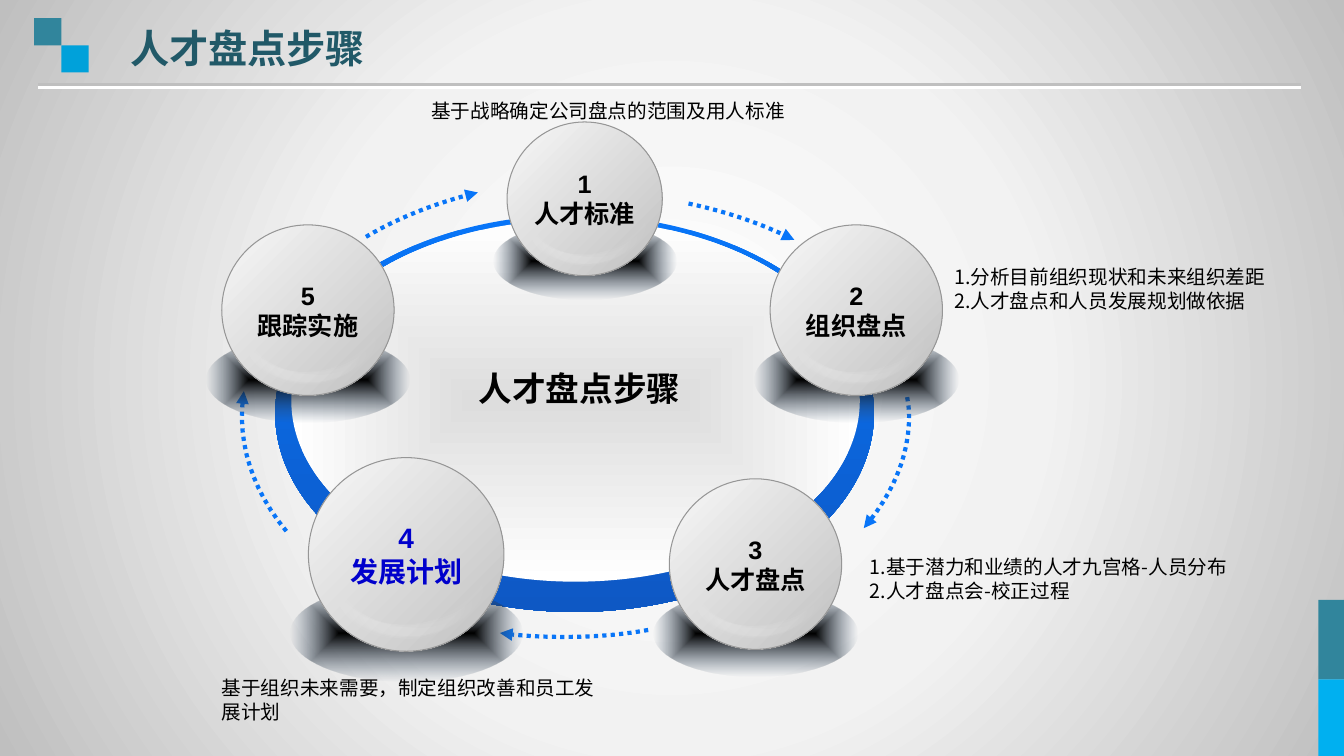
import pptx
import pptx.dml.color
import pptx.enum.dml
import pptx.enum.shapes
import pptx.enum.text
import pptx.oxml
import pptx.oxml.ns
import pptx.util
from lxml import etree

Pt = pptx.util.Pt
rgb = pptx.dml.color.RGBColor.from_string
qn = pptx.oxml.ns.qn
SHAPE = pptx.enum.shapes.MSO_SHAPE
ALIGN = pptx.enum.text.PP_ALIGN
ANCHOR = pptx.enum.text.MSO_ANCHOR
CJK = "Noto Sans CJK SC"
ARROW_BLUE = "0875F8"


def add_filled(shapes, kind, bounds, stops, angle=None, path="shape"):
    """Add a borderless shape; stops are (percent, hex, opacity percent).

    One stop is a solid fill; without an angle, more run out from the centre.
    """
    shape = shapes.add_shape(kind, *[Pt(value) for value in bounds])
    shape.shadow.inherit = False
    shape.line.fill.background()
    if len(stops) == 1:
        shape.fill.solid()
        shape.fill.fore_color.rgb = rgb(stops[0][1])
        colour = shape.element.spPr.find(qn("a:solidFill"))[0]
        etree.SubElement(colour, qn("a:alpha"), val=str(stops[0][2] * 1000))
        return shape
    shape.fill.gradient()
    gradient = shape.element.spPr.find(qn("a:gradFill"))
    for child in list(gradient):
        gradient.remove(child)
    stop_list = etree.SubElement(gradient, qn("a:gsLst"))
    for position, hex_colour, opacity in stops:
        stop = etree.SubElement(stop_list, qn("a:gs"), pos=str(position * 1000))
        colour = etree.SubElement(stop, qn("a:srgbClr"), val=hex_colour)
        etree.SubElement(colour, qn("a:alpha"), val=str(opacity * 1000))
    if angle is None:
        centre = etree.SubElement(gradient, qn("a:path"), path=path)
        sides = {side: "50000" for side in "ltrb"}
        etree.SubElement(centre, qn("a:fillToRect"), **sides)
    else:
        etree.SubElement(gradient, qn("a:lin"), ang=str(angle * 60000), scaled="0")
    return shape


def write(shape, lines, size, colour="000000", name=CJK, bold=False,
          align=ALIGN.LEFT, anchor=ANCHOR.TOP, wrap=True, spacing=None):
    frame = shape.text_frame
    frame.word_wrap = wrap
    frame.vertical_anchor = anchor
    frame.text = "\n".join(lines)
    for para in frame.paragraphs:
        para.alignment = align
        para.line_spacing = spacing
        for span in para.runs:
            for key, value in {"size": Pt(size), "bold": bold, "name": name}.items():
                setattr(span.font, key, value)
            span.font.color.rgb = rgb(colour)
            etree.SubElement(span.font._element, qn("a:ea"), typeface=CJK)


deck = pptx.Presentation()
deck.slide_width, deck.slide_height = Pt(960), Pt(540)
page = deck.slides.add_slide(deck.slide_layouts[5])

# Backdrop and header
add_filled(page.shapes, SHAPE.RECTANGLE, (0, 0, 960, 540),
           [(0, "FFFFFF", 100), (48, "F2F2F2", 100), (100, "BFBFBF", 100)],
           path="circle")
for bounds, colour in [
    ((941.8, 428.4, 18.2, 56.9), "31859C"),
    ((941.8, 485.3, 18.2, 54.7), "00B0F0"),
    ((24.5, 13, 19.4, 19.4), "31859C"),
    ((43.9, 32.4, 19.4, 19.4), "00A1DA"),
]:
    add_filled(page.shapes, SHAPE.RECTANGLE, bounds, [(0, colour, 100)])

rule = page.shapes.add_connector(pptx.enum.shapes.MSO_CONNECTOR.STRAIGHT,
                                 Pt(27.4), Pt(60.5), Pt(929), Pt(60.5))
rule.line.color.rgb = rgb("BFBFBF")
rule.line.width = Pt(2.25)
effects = etree.SubElement(rule.element.spPr, qn("a:effectLst"))
shadow = etree.SubElement(effects, qn("a:outerShdw"), dist=str(Pt(2)),
                          dir="5400000", algn="t", rotWithShape="0")
etree.SubElement(shadow, qn("a:srgbClr"), val="FFFFFF")

title = page.shapes.title
title.element.getparent().append(title.element)
for key, value in {"left": 85.7, "top": 13.7, "width": 265.7, "height": 41.2}.items():
    setattr(title, key, Pt(value))
write(title, ["人才盘点步骤"], 28, "215968", bold=True)

# Dotted arrows: a start point, then cubic curves of three points each
arrows = [
    [(261.4, 169.2), (284.4, 155.5), (311.8, 144.7), (341.3, 137.5)],
    [(204.5, 379.4), (180, 349.9), (169.9, 316.8), (173.5, 284.4),
     (173.5, 283), (174.2, 281.5), (174.2, 279.4)],
    [(463, 450), (443.5, 453.6), (423.4, 455), (403.2, 455),
     (387.4, 455), (372.2, 454.3), (357.1, 452.2)],
    [(648, 283.7), (648.7, 288), (649.4, 292.3), (649.4, 297.4),
     (649.4, 325.4), (637.9, 352.8), (617, 377.3)],
    [(491.8, 145.4), (519.1, 151.2), (544.3, 159.8), (567.4, 171.4)],
]
STEPS = 12
for points in arrows:
    vertices = []
    for first in range(0, len(points) - 1, 3):
        curve = points[first:first + 4]
        for step in range(1, STEPS + 1):
            t = step / STEPS
            weights = ((1 - t) ** 3, 3 * t * (1 - t) ** 2, 3 * t * t * (1 - t), t ** 3)
            vertices.append([Pt(sum(w * point[axis] for w, point in zip(weights, curve)))
                             for axis in (0, 1)])
    builder = page.shapes.build_freeform(Pt(points[0][0]), Pt(points[0][1]))
    builder.add_line_segments(vertices, close=False)
    arrow = builder.convert_to_shape()
    arrow.shadow.inherit = False
    arrow.fill.background()
    arrow.line.color.rgb = rgb(ARROW_BLUE)
    arrow.line.width = Pt(3)
    arrow.line.dash_style = pptx.enum.dml.MSO_LINE.ROUND_DOT
    etree.SubElement(arrow.element.spPr.find(qn("a:ln")), qn("a:tailEnd"), type="triangle")

# Ring
add_filled(page.shapes, SHAPE.OVAL, (196.6, 153.4, 427.7, 283.7),
           [(0, ARROW_BLUE, 100), (100, "0E58C4", 100)], angle=90)
add_filled(page.shapes, SHAPE.OVAL, (208.1, 157, 406.1, 258.5),
           [(0, "DDDDDD", 100), (100, "FFFFFF", 100)])
centre_box = page.shapes.add_textbox(Pt(341.3), Pt(258.5), Pt(145.4), Pt(31.7))
for side in ("left", "top", "right", "bottom"):
    setattr(centre_box.text_frame, "margin_" + side, 0)
write(centre_box, ["人才盘点步骤"], 24, name="Arial", bold=True, align=ALIGN.CENTER,
      anchor=ANCHOR.MIDDLE, wrap=False, spacing=1.2)

# Step balls; shadow and highlights scale with the ball's width
BALL = 123.1
highlights = [  # left, top, width, height, rotation
    (74.9, 67.7, 15.8, 64.8, 66.1), (64.8, 71.3, 15.8, 64.8, 79.7),
    (59, 72, 15.8, 64.8, 84.6), (51.8, 72.7, 15.8, 64.8, 93.5),
    (56.2, 72.7, 15.8, 64.8, 88.7), (45.4, 72.7, 15.8, 64.8, 102.2),
    (39.6, 71.3, 15.8, 64.8, 107.2), (31.7, 73.4, 18, 56.2, 116),
]
for number, label, left, top, width, size, colour in [
    ("2", "组织盘点", 550.1, 160.6, BALL, 18, "000000"),
    ("5", "跟踪实施", 158.4, 160.6, BALL, 18, "000000"),
    ("4", "发展计划", 220.3, 326.9, 139.7, 20, "0000CC"),
    ("1", "人才标准", 362.2, 87.1, 110.9, 18, "000000"),
    ("3", "人才盘点", 478.1, 342, BALL, 18, "000000"),
]:
    scale = width / BALL
    group = page.shapes.add_group_shape().shapes
    add_filled(group, SHAPE.OVAL,
               (left - 11 * scale, top + 79.9 * scale, 145.4 * scale, 61.2 * scale),
               [(0, "000000", 100), (100, "445E7A", 0)])
    ball = add_filled(group, SHAPE.OVAL, (left, top, width, width * 0.99),
                      [(0, "F8F8F8", 100), (100, "C0C0C0", 100)], angle=45)
    ball.line.color.rgb = rgb("969696")
    ball.line.width = Pt(0.75)
    write(ball, [number, label], size, colour, "Arial", True, ALIGN.CENTER,
          ANCHOR.MIDDLE, False)
    for x, y, wide, high, turn in highlights:
        moon = add_filled(group, SHAPE.MOON,
                          (left + x * scale, top + y * scale, wide * scale, high * scale),
                          [(0, "F8F8F8", 4)])
        moon.adjustments[0] = 0.5
        moon.rotation = turn
        for flip in ("flipH", "flipV"):
            moon.element.spPr.find(qn("a:xfrm")).set(flip, "1")

# Notes beside the steps
for bounds, lines in [
    ((301, 67, 371.5, 24.5), ["基于战略确定公司盘点的范围及用人标准"]),
    ((674.6, 185.8, 270, 41), ["1.分析目前组织现状和未来组织差距",
                               "2.人才盘点和人员发展规划做依据"]),
    ((614.2, 393.1, 302.4, 41), ["1.基于潜力和业绩的人才九宫格-人员分布",
                                 "2.人才盘点会-校正过程"]),
    ((151.2, 479.5, 283, 41), ["基于组织未来需要，制定组织改善和员工发展计划"]),
]:
    write(page.shapes.add_textbox(*[Pt(value) for value in bounds]), lines, 14)

deck.save("out.pptx")
